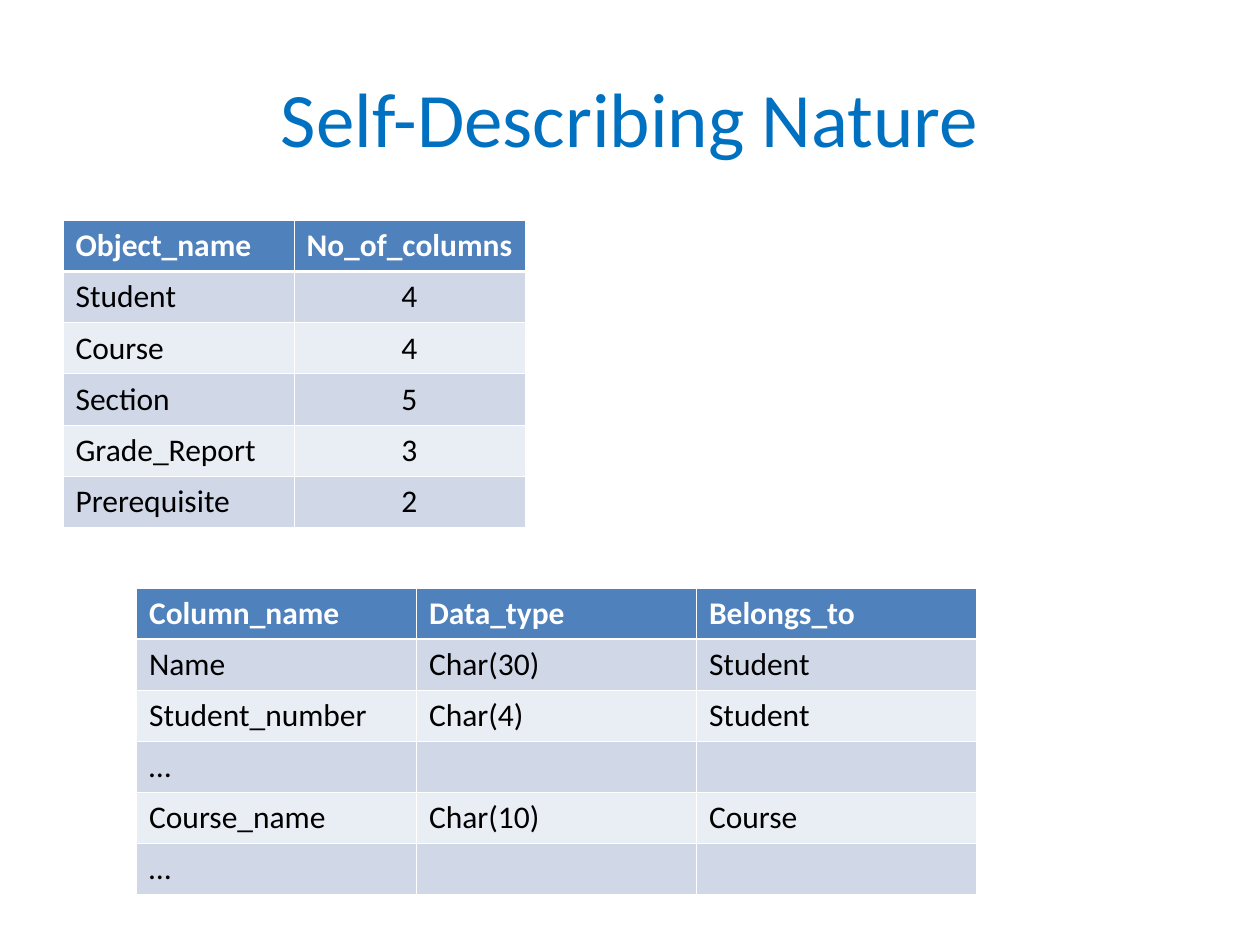
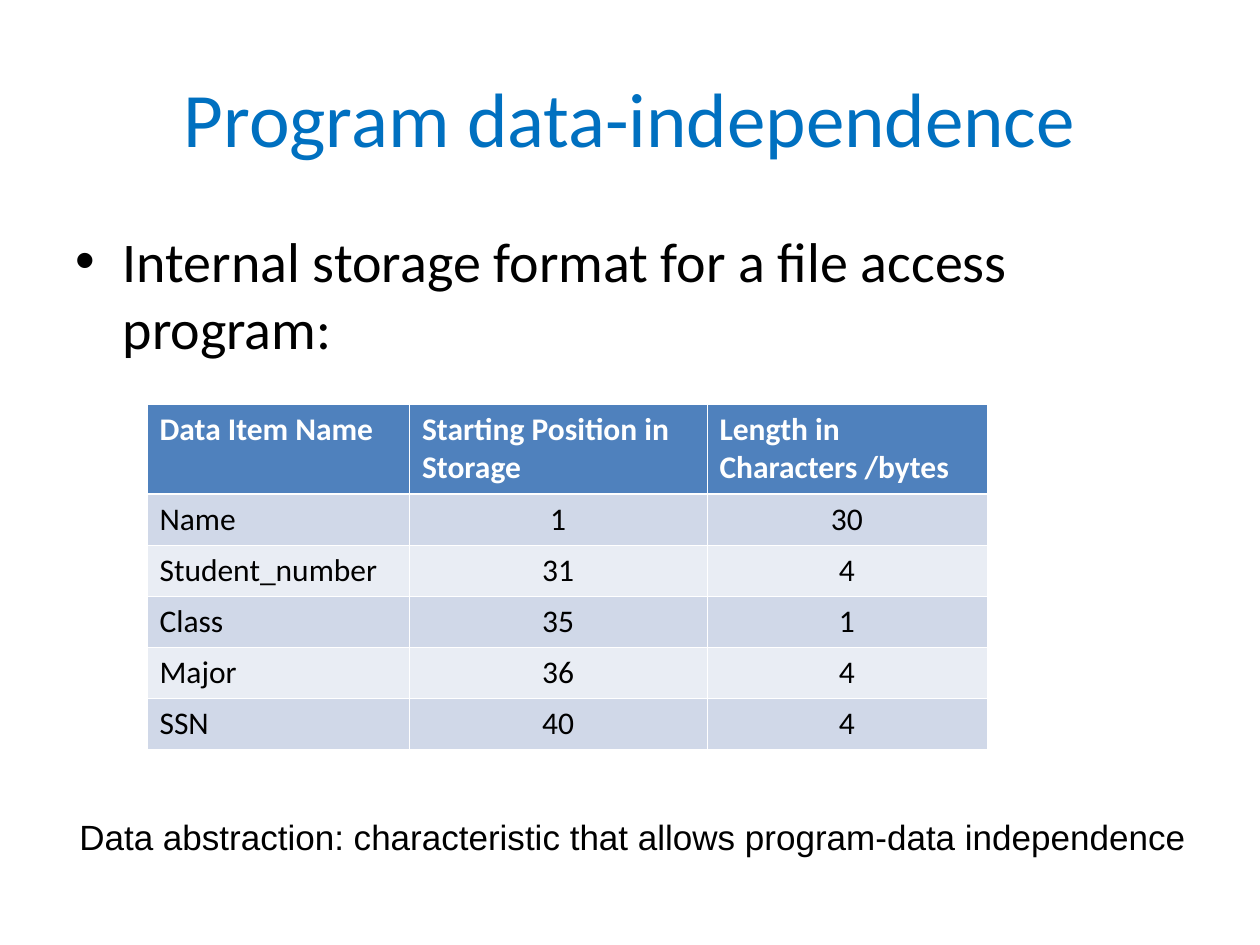
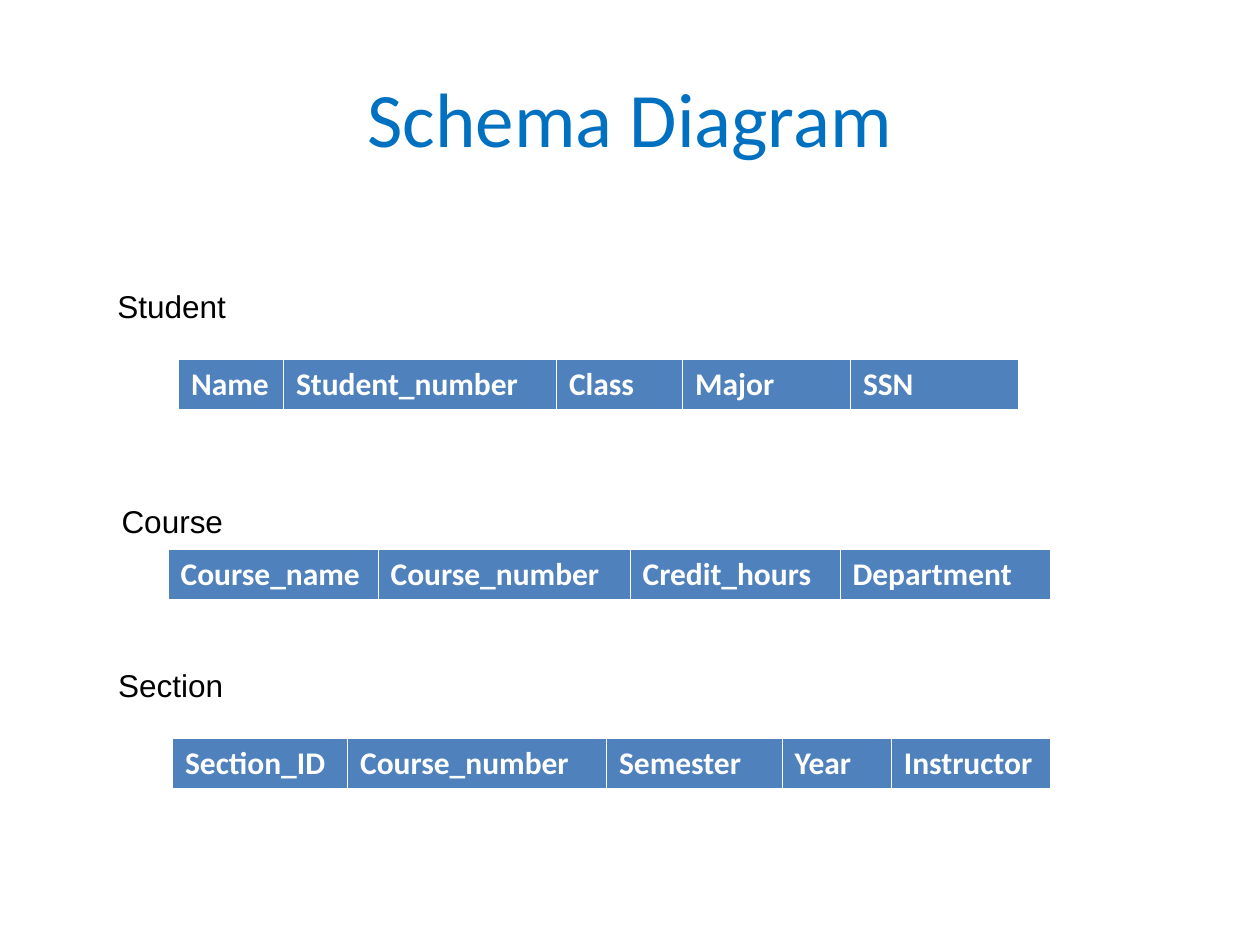
from dataclasses import dataclass

from lxml.etree import SubElement
from pptx import Presentation
from pptx.dml.color import RGBColor
from pptx.enum.text import MSO_ANCHOR, MSO_AUTO_SIZE, PP_ALIGN
from pptx.oxml.ns import qn
from pptx.util import Pt

BLUE, BLACK, WHITE = "0070C0", "000000", "FFFFFF"
HEADER_FILL, BAND_FILLS = "4F81BD", ("D0D8E8", "E9EDF4")
THIN, THICK = 0.45, 1.47
ROW_HEIGHT = 29.2

TITLE_FORMAT = {"name": "Calibri", "size": Pt(44), "bold": False}
BULLET_FORMAT = {"name": "Calibri", "size": Pt(32)}
NOTE_FORMAT = {"name": "Arial", "size": Pt(20)}
LABEL_FORMAT = {"name": "Arial", "size": Pt(18)}
HEADER_FORMAT = {"name": "Calibri", "size": Pt(18), "bold": True}
CELL_FORMAT = {"name": "Calibri", "size": Pt(18), "bold": False}


@dataclass
class Grid:
    """A table whose first row is the header; lengths in points."""
    left: float
    top: float
    widths: list[float]
    rows: list[list[str]]
    header_height: float = ROW_HEIGHT


@dataclass
class Label:
    text: str
    left: float
    top: float
    width: float
    height: float
    fmt: dict
    wrap: bool = False
    grow: bool = True


OBJECTS = Grid(36, 126, [132] * 2, [
    ["Object_name", "No_of_columns"],
    ["Student", "4"],
    ["Course", "4"],
    ["Section", "5"],
    ["Grade_Report", "3"],
    ["Prerequisite", "2"],
])
COLUMNS = Grid(78, 336, [160] * 3, [
    ["Column_name", "Data_type", "Belongs_to"],
    ["Name", "Char(30)", "Student"],
    ["Student_number", "Char(4)", "Student"],
    ["…", "", ""],
    ["Course_name", "Char(10)", "Course"],
    ["…", "", ""],
])
STORAGE = Grid(84, 231, [150, 170, 160], [
    ["Data Item Name", "Starting Position in Storage", "Length in Characters /bytes"],
    ["Name", "1", "30"],
    ["Student_number", "31", "4"],
    ["Class", "35", "1"],
    ["Major", "36", "4"],
    ["SSN", "40", "4"],
], header_height=50.8)
SCHEMAS = [
    Grid(96, 313.8, [120, 144, 120, 120],
         [["Course_name", "Course_number", "Credit_hours", "Department"]]),
    Grid(102, 205.4, [60, 156, 72, 96, 96],
         [["Name", "Student_number", "Class", "Major", "SSN"]]),
    Grid(98.6, 422, [100, 148, 100.4, 62.4, 91],
         [["Section_ID", "Course_number", "Semester", "Year", "Instructor"]]),
]
SCHEMA_LABELS = [
    Label("Student", 60, 160.4, 150, 29, LABEL_FORMAT, wrap=True),
    Label("Course", 62.4, 283.2, 78, 29, LABEL_FORMAT),
    Label("Section", 60.4, 376.8, 78, 29, LABEL_FORMAT),
]
STORAGE_INTRO = Label("Internal storage format for a file access program:",
                      36, 126, 648, 356.4, BULLET_FORMAT, wrap=True, grow=False)
ABSTRACTION_NOTE = Label(
    "Data abstraction: characteristic that allows program-data independence",
    38.2, 462.2, 647.4, 31.5, NOTE_FORMAT)


def rgb(value: str) -> RGBColor:
    return RGBColor.from_string(value)


def write(tf, text: str, fmt: dict, color: str = BLACK, align=PP_ALIGN.LEFT):
    p = tf.paragraphs[0]
    p.alignment = align
    if text:
        r = p.add_run()
        r.text = text
        for name, value in fmt.items():
            setattr(r.font, name, value)
        r.font.color.rgb = rgb(color)
    return p


def add_titled_slide(prs, title: str):
    s = prs.slides.add_slide(prs.slide_layouts[5])
    sp = s.shapes.title
    sp.left, sp.top, sp.width, sp.height = Pt(36), Pt(21.6), Pt(648), Pt(90)
    sp.text_frame.vertical_anchor = MSO_ANCHOR.MIDDLE
    write(sp.text_frame, title, TITLE_FORMAT, BLUE, PP_ALIGN.CENTER)
    return s


def add_label(s, label: Label):
    sp = s.shapes.add_textbox(Pt(label.left), Pt(label.top), Pt(label.width), Pt(label.height))
    tf = sp.text_frame
    tf.word_wrap = label.wrap
    tf.auto_size = MSO_AUTO_SIZE.SHAPE_TO_FIT_TEXT if label.grow else MSO_AUTO_SIZE.NONE
    return write(tf, label.text, label.fmt)


def add_bullet(p, indent: float) -> None:
    p.space_before = Pt(8)
    pPr = p._p.get_or_add_pPr()
    pPr.set("marL", str(Pt(indent)))
    pPr.set("indent", str(-Pt(indent)))
    SubElement(pPr, qn("a:buFont"), typeface="Arial")
    SubElement(pPr, qn("a:buChar"), char="•")


def set_borders(cell, top: float, bottom: float) -> None:
    tcPr = cell._tc.get_or_add_tcPr()
    for side, width in (("L", THIN), ("R", THIN), ("T", top), ("B", bottom)):
        ln = SubElement(tcPr, qn(f"a:ln{side}"), w=str(Pt(width)))
        fill = SubElement(ln, qn("a:solidFill"))
        SubElement(fill, qn("a:srgbClr"), val=WHITE)


def add_grid(s, grid: Grid) -> None:
    heights = [grid.header_height] + [ROW_HEIGHT] * (len(grid.rows) - 1)
    table = s.shapes.add_table(
        len(grid.rows), len(grid.widths), Pt(grid.left), Pt(grid.top),
        Pt(sum(grid.widths)), Pt(sum(heights))).table
    for column, width in zip(table.columns, grid.widths):
        column.width = Pt(width)
    for i, (row, height, values) in enumerate(zip(table.rows, heights, grid.rows)):
        row.height = Pt(height)
        header = i == 0
        for cell, text in zip(row.cells, values):
            set_borders(cell, THICK if i == 1 else THIN, THICK if header else THIN)
            cell.fill.solid()
            cell.fill.fore_color.rgb = rgb(HEADER_FILL if header else BAND_FILLS[(i - 1) % 2])
            write(cell.text_frame, text, HEADER_FORMAT if header else CELL_FORMAT,
                  WHITE if header else BLACK,
                  PP_ALIGN.CENTER if text.isdigit() else PP_ALIGN.LEFT)


def main() -> None:
    prs = Presentation()
    prs.slide_width, prs.slide_height = Pt(720), Pt(540)

    s = add_titled_slide(prs, "Self-Describing Nature")
    for grid in (OBJECTS, COLUMNS):
        add_grid(s, grid)

    s = add_titled_slide(prs, "Program data-independence")
    add_bullet(add_label(s, STORAGE_INTRO), 27)
    add_grid(s, STORAGE)
    add_label(s, ABSTRACTION_NOTE)

    s = add_titled_slide(prs, "Schema Diagram")
    for grid in SCHEMAS:
        add_grid(s, grid)
    for label in SCHEMA_LABELS:
        add_label(s, label)

    prs.save("out.pptx")


if __name__ == "__main__":
    main()
